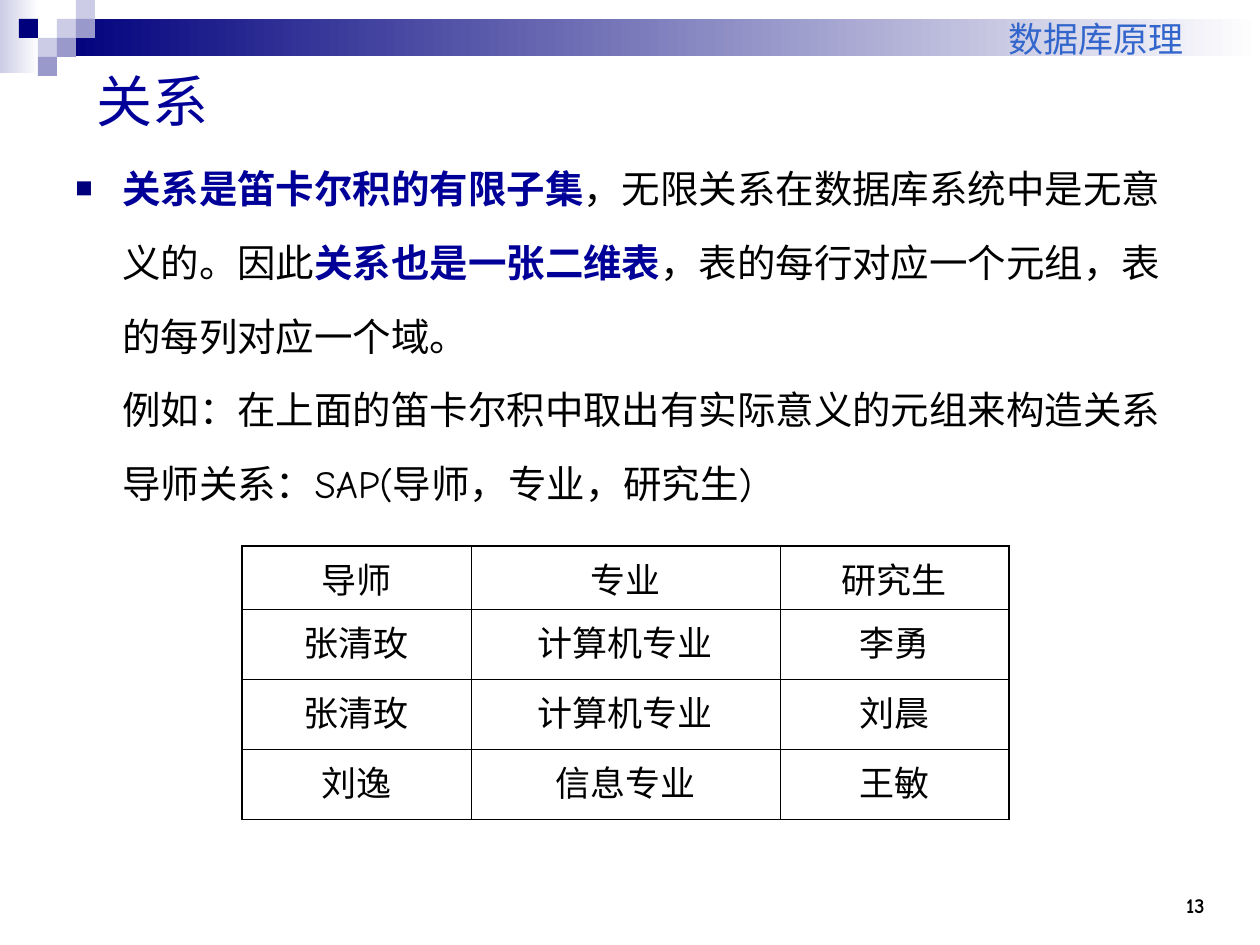
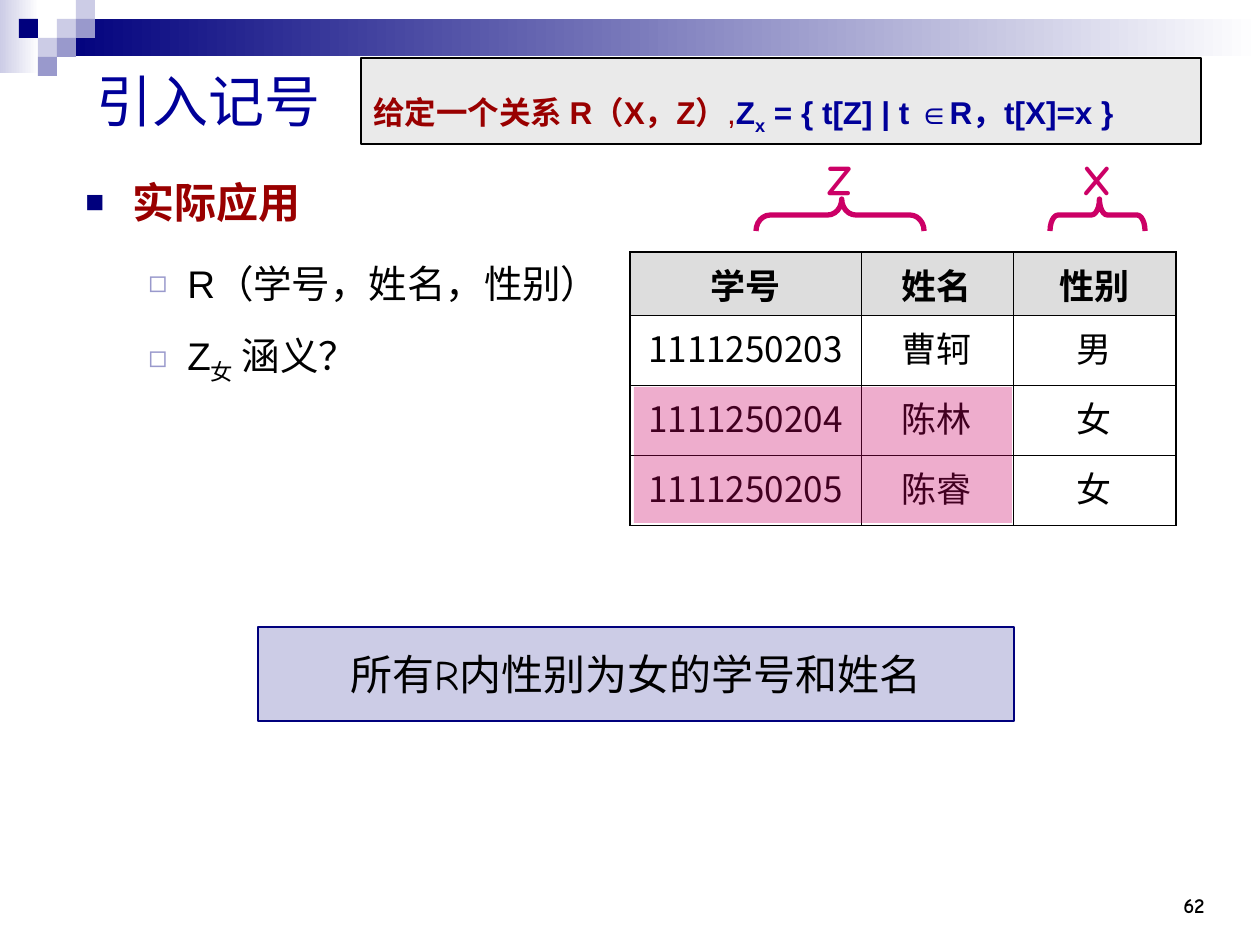
"""Builds two database theory slides about relations and their notation."""
import pptx
import pptx.dml.color
import pptx.enum.shapes
import pptx.enum.text
import pptx.oxml
import pptx.oxml.ns
import pptx.util
from lxml import etree

RGB = pptx.dml.color.RGBColor
NAVY = RGB(0x00, 0x00, 0x7D)
BLUE = RGB(0x00, 0x00, 0x99)
SKY = RGB(0x33, 0x66, 0xCC)
LAVENDER = RGB(0xCC, 0xCC, 0xE6)
PERIWINKLE = RGB(0x99, 0x99, 0xCC)
RED = RGB(0x99, 0x00, 0x00)
MAGENTA = RGB(0xCC, 0x00, 0x66)
SILVER = RGB(0xDD, 0xDD, 0xDD)
PALE = RGB(0xEA, 0xEA, 0xEA)
BLACK = RGB(0x00, 0x00, 0x00)
WHITE = RGB(0xFF, 0xFF, 0xFF)

COMIC, ARIAL, CJK = "Comic Neue", "Arial", "Noto Sans CJK SC"
SHAPE = pptx.enum.shapes.MSO_SHAPE
ALIGN = pptx.enum.text.PP_ALIGN
ANCHOR = pptx.enum.text.MSO_ANCHOR
EMU_PER_PX = 914400 / 126
WIDTH, HEIGHT = 1260, 945
SQUARE = 19
MOSAIC = [(3, 1, LAVENDER), (4, 0, LAVENDER), (4, 1, PERIWINKLE), (2, 2, LAVENDER),
          (1, 1, NAVY), (3, 2, PERIWINKLE), (2, 3, PERIWINKLE)]


def px(length):
    return pptx.util.Emu(round(length * EMU_PER_PX))


def add_child(parent, tag, **attributes):
    return etree.SubElement(parent, pptx.oxml.ns.qn(tag), attributes)


def write(paragraph, text, size=20, font=COMIC, color=BLACK, bold=False, subscript=False):
    for index, line in enumerate(text.split("\n")):
        if index:
            paragraph.add_line_break()
        run = paragraph.add_run()
        run.text = line
        run.font.size = pptx.util.Pt(size)
        run.font.name = font
        run.font.bold = bold
        run.font.color.rgb = color
        properties = run.font._element
        add_child(properties, "a:ea", typeface=CJK)
        if subscript:
            properties.set("baseline", "-25000")


class Deck:
    def __init__(self):
        self.presentation = pptx.Presentation()
        self.presentation.slide_width = px(WIDTH)
        self.presentation.slide_height = px(HEIGHT)
        self.slide = None

    def start(self, title, number):
        layout = self.presentation.slide_layouts[6]
        self.slide = self.presentation.slides.add_slide(layout)
        self.gradient((0, 0, 39, 73), LAVENDER)
        self.gradient((3 * SQUARE, SQUARE, WIDTH - 3 * SQUARE, 37), NAVY)
        for column, row, color in MOSAIC:
            self.shape((column * SQUARE, row * SQUARE, SQUARE, SQUARE), color)
        self.label((1113, 861, 104, 63), number, align=ALIGN.RIGHT, anchor=ANCHOR.BOTTOM,
                   size=12, bold=True)
        self.label((84, 53, 1134, 94), title, size=32, color=BLUE)

    def shape(self, box, fill=None, line=None, weight=0.75, kind=SHAPE.RECTANGLE):
        shape = self.slide.shapes.add_shape(kind, *map(px, box))
        shape.shadow.inherit = False
        if fill is None:
            shape.fill.background()
        else:
            shape.fill.solid()
            shape.fill.fore_color.rgb = fill
        if line is None:
            shape.line.fill.background()
        else:
            shape.line.color.rgb = line
            shape.line.width = pptx.util.Pt(weight)
        return shape

    def gradient(self, box, start):
        band = self.shape(box)
        band.fill.gradient()
        band.fill.gradient_angle = 0
        for stop, color in zip(band.fill.gradient_stops, (start, WHITE)):
            stop.color.rgb = color

    def highlight(self, box, color, opacity):
        overlay = self.shape(box, color)
        solid = overlay.fill._xPr.find(pptx.oxml.ns.qn("a:solidFill"))
        add_child(solid[0], "a:alpha", val=str(opacity * 1000))

    def brace(self, left, width, curve, tip):
        top, depth = 199, 32
        box = (left + (width - depth) / 2, top - (width - depth) / 2, depth, width)
        brace = self.shape(box, line=MAGENTA, weight=3, kind=SHAPE.LEFT_BRACE)
        brace.rotation = 90
        brace.adjustments[0] = curve
        brace.adjustments[1] = tip

    def textbox(self, box):
        return self.slide.shapes.add_textbox(*map(px, box))

    def label(self, box, text, align=ALIGN.LEFT, anchor=ANCHOR.MIDDLE, **style):
        self.caption(self.textbox(box), [(text, style)], align, anchor)

    def caption(self, holder, runs, align=ALIGN.CENTER, anchor=ANCHOR.MIDDLE):
        frame = holder.text_frame
        frame.word_wrap = True
        frame.vertical_anchor = anchor
        paragraph = frame.paragraphs[0]
        paragraph.alignment = align
        for text, style in runs:
            write(paragraph, text, **style)
        return frame

    def bullets(self, box, items, pitch):
        frame = self.textbox(box).text_frame
        frame.word_wrap = True
        frame.margin_top = px(11)
        for index, (level, runs) in enumerate(items):
            paragraph = frame.add_paragraph() if index else frame.paragraphs[0]
            paragraph.line_spacing = pptx.util.Pt(pitch)
            if index:
                paragraph.space_before = pptx.util.Pt(5.5)
            self.bullet(paragraph, level)
            for text, style in runs:
                write(paragraph, text, **style)

    def bullet(self, paragraph, level):
        mark, color, percent, margin, hang = [("■", NAVY, 75, 47, 47),
                                              ("◻", PERIWINKLE, 80, 102, 39)][level]
        paragraph.level = level
        properties = paragraph._p.get_or_add_pPr()
        properties.set("marL", str(px(margin)))
        properties.set("indent", str(-px(hang)))
        add_child(add_child(properties, "a:buClr"), "a:srgbClr", val=str(color))
        add_child(properties, "a:buSzPct", val=str(percent * 1000))
        add_child(properties, "a:buFont", typeface=ARIAL)
        add_child(properties, "a:buChar", char=mark)

    def table(self, left, top, widths, rows, header_fill=None):
        heights = [63] + [70] * (len(rows) - 1)
        table = self.slide.shapes.add_table(len(rows), len(widths), px(left), px(top),
                                            px(sum(widths)), px(sum(heights))).table
        table.first_row = table.horz_banding = False
        for column, width in zip(table.columns, widths):
            column.width = px(width)
        for r, (row, height) in enumerate(zip(rows, heights)):
            table.rows[r].height = px(height)
            for c, text in enumerate(row):
                cell = table.cell(r, c)
                filled = r == 0 and header_fill is not None
                if filled:
                    cell.fill.solid()
                    cell.fill.fore_color.rgb = header_fill
                else:
                    cell.fill.background()
                paragraph = cell.text_frame.paragraphs[0]
                paragraph.alignment = ALIGN.CENTER
                write(paragraph, text, font=CJK, bold=filled)
                self.borders(cell, L=c == 0, R=c == len(widths) - 1, T=r == 0, B=False)

    def borders(self, cell, **outer):
        properties = cell._tc.get_or_add_tcPr()
        for position, (side, heavy) in enumerate(outer.items()):
            weight = pptx.util.Pt(0.96 if heavy else 0.45)
            line = add_child(properties, f"a:ln{side}", w=str(weight))
            add_child(add_child(line, "a:solidFill"), "a:srgbClr", val=str(BLACK))
            properties.insert(position, line)


def relation_slide(deck):
    deck.start("关系", "13")
    deck.label((483, 0, 713, 66), "数据库原理", align=ALIGN.RIGHT, anchor=ANCHOR.BOTTOM, color=SKY)
    plain = dict(size=22)
    key = dict(size=22, color=BLUE, bold=True)
    deck.bullets((63, 126, 1144, 400), [(0, [
        ("关系是笛卡尔积的有限子集", key),
        ("，无限关系在数据库系统中是无意义的。因此", plain),
        ("关系也是一张二维表", key),
        ("，表的每行对应一个元组，表的每列对应一个域。\n"
         "例如：在上面的笛卡尔积中取出有实际意义的元组来构造关系\n"
         "导师关系：SAP(导师，专业，研究生)", plain)])], pitch=42.25)
    deck.table(242, 546, [229, 309, 229], [
        ["导师", "专业", "研究生"],
        ["张清玫", "计算机专业", "李勇"],
        ["张清玫", "计算机专业", "刘晨"],
        ["刘逸", "信息专业", "王敏"]])


def notation_slide(deck):
    deck.start("引入记号", "62")
    plain = dict(size=22, font=ARIAL)
    deck.bullets((73, 147, 540, 300), [
        (0, [("实际应用", dict(size=24, font=ARIAL, color=RED, bold=True))]),
        (1, [("R（学号，姓名，性别）", plain)]),
        (1, [("Z", plain), ("女", dict(plain, subscript=True)), (" 涵义？", plain)])], pitch=39.5)
    deck.table(630, 252, [231, 152, 163], [
        ["学号", "姓名", "性别"],
        ["1111250203", "曹轲", "男"],
        ["1111250204", "陈林", "女"],
        ["1111250205", "陈睿", "女"]], header_fill=SILVER)
    answer = deck.shape((258, 627, 756, 94), LAVENDER, NAVY)
    deck.caption(answer, [("所有R内性别为女的学号和姓名", dict(size=24))])
    for name, center, left, width, curve, tip in [("Z", 840, 756, 168, 0.44, 0.49),
                                                  ("X", 1097, 1050, 95, 0.25, 0.48)]:
        deck.brace(left, width, curve, tip)
        deck.label((center - 40, 147, 80, 63), name, align=ALIGN.CENTER,
                   size=24, color=MAGENTA, bold=True)
    given = dict(size=18, font=ARIAL, color=RED, bold=True)
    formula = dict(given, color=BLUE)
    definition = deck.caption(deck.shape((361, 58, 840, 86), PALE, BLACK), [
        ("给定一个关系 R（X，Z）", given),
        (",", dict(given, bold=False)),
        ("Z", formula),
        ("x", dict(formula, subscript=True)),
        (" = { t[Z] | t ∈R，t[X]=x }", formula)], ALIGN.LEFT, ANCHOR.BOTTOM)
    definition.margin_right = 0
    definition.margin_bottom = px(8)
    deck.highlight((634, 387, 378, 136), MAGENTA, 32)


def main():
    deck = Deck()
    relation_slide(deck)
    notation_slide(deck)
    deck.presentation.save("out.pptx")


if __name__ == "__main__":
    main()
